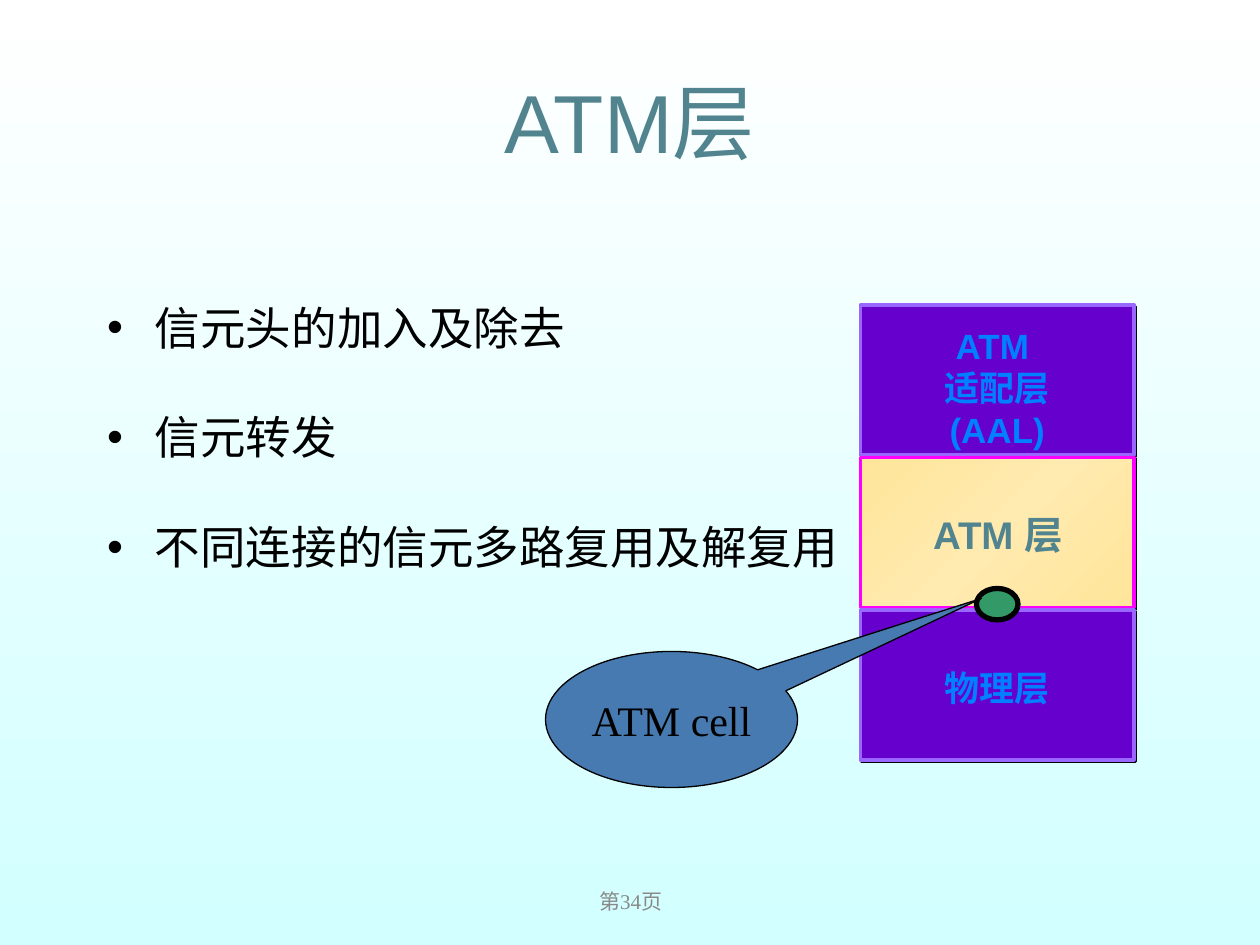
from dataclasses import dataclass

from lxml.etree import SubElement
from pptx import Presentation
from pptx.dml.color import RGBColor
from pptx.enum.shapes import MSO_SHAPE
from pptx.enum.text import MSO_ANCHOR, MSO_AUTO_SIZE, PP_ALIGN
from pptx.oxml.ns import qn
from pptx.util import Inches, Pt


@dataclass(frozen=True)
class Theme:
    sans: str = "Arial"
    serif: str = "Times New Roman"
    black: str = "000000"
    teal: str = "51848E"
    grey: str = "898989"
    violet: str = "6600CC"
    violet_line: str = "9966FF"
    magenta: str = "FF00FF"
    label_blue: str = "0080FF"
    green: str = "339966"
    callout_blue: str = "477AB1"
    background: tuple = ((0, "FFFFFF"), (100, "D2FFFF"))
    highlight: tuple = ((0, "FFE59B"), (50, "FFEAAF"), (100, "FFE59B"))
    title_size: int = 47
    body_size: int = 26
    callout_size: int = 24
    active_size: int = 22
    label_size: int = 20
    footer_size: int = 12


THEME = Theme()
LAYER_LEFT, LAYER_TOP, LAYER_WIDTH, LAYER_HEIGHT = 6.83, 2.42, 2.17, 1.19
LAYER_PITCH = 1.21


def place(sp, left, top, width, height):
    sp.left, sp.top = Inches(left), Inches(top)
    sp.width, sp.height = Inches(width), Inches(height)


def set_gradient(fill, element, stops, angle):
    """Fill with any number of stops; element is the XML that holds the fill."""
    fill.gradient()
    fill.gradient_angle = angle
    gs_list = next(element.iter(qn("a:gsLst")))
    gs_list.clear()
    for percent, color in stops:
        gs = SubElement(gs_list, qn("a:gs"), pos=str(percent * 1000))
        SubElement(gs, qn("a:srgbClr"), val=color)


def write_text(sp, text, font, size, color, bold=False, align=PP_ALIGN.CENTER,
               anchor=MSO_ANCHOR.MIDDLE, wrap=True):
    tf = sp.text_frame
    tf.text = text
    tf.word_wrap = wrap
    tf.auto_size = MSO_AUTO_SIZE.NONE
    tf.vertical_anchor = anchor
    for p in tf.paragraphs:
        p.alignment = align
        for r in p.runs:
            r.font.name = font
            r.font.size = Pt(size)
            r.font.bold = bold
            r.font.color.rgb = RGBColor.from_string(color)
    return tf


def add_shape(shapes, kind, box, fill, line, line_width):
    sp = shapes.add_shape(kind, *map(Inches, box))
    sp.shadow.inherit = False
    if isinstance(fill, str):
        sp.fill.solid()
        sp.fill.fore_color.rgb = RGBColor.from_string(fill)
    else:
        set_gradient(sp.fill, sp._element, fill, 315)
    sp.line.color.rgb = RGBColor.from_string(line)
    sp.line.width = Pt(line_width)
    return sp


def add_hard_shadow(sp):
    effects = sp._element.spPr.find(qn("a:effectLst"))
    shadow = SubElement(effects, qn("a:outerShdw"), dist=str(Pt(1.4)),
                        dir="2700000", algn="ctr", rotWithShape="0")
    SubElement(shadow, qn("a:srgbClr"), val=THEME.black)


def add_bullets(body, items):
    tf = write_text(body, "\n".join(items), THEME.serif, THEME.body_size,
                    THEME.black, align=PP_ALIGN.LEFT, anchor=MSO_ANCHOR.TOP)
    for i, p in enumerate(tf.paragraphs):
        p.space_before = Pt(6.5 if i else 0)
        p.line_spacing = 1.8 if i else 1.0
        pPr = p._p.get_or_add_pPr()
        pPr.set("marL", str(Inches(0.38)))
        pPr.set("indent", str(Inches(-0.38)))
        bullet_color = SubElement(pPr, qn("a:buClr"))
        SubElement(bullet_color, qn("a:srgbClr"), val=THEME.black)
        SubElement(pPr, qn("a:buChar"), char="•")


def add_layer_stack(slide):
    plain = (THEME.violet, THEME.violet_line, THEME.label_blue, THEME.label_size)
    active = (THEME.highlight, THEME.magenta, THEME.teal, THEME.active_size)
    layers = [
        ("ATM \v适配层\n(AAL)", (7.4, 2.53, 1.03, 1.1), plain),
        ("ATM 层", (7.26, 4.01, 1.32, 0.47), active),
        ("物理层", (7.4, 5.24, 1.03, 0.43), plain),
    ]
    shapes = slide.shapes.add_group_shape().shapes
    for i, (_, _, (fill, line, _, _)) in enumerate(layers):
        box = (LAYER_LEFT, LAYER_TOP + i * LAYER_PITCH, LAYER_WIDTH, LAYER_HEIGHT)
        add_hard_shadow(add_shape(shapes, MSO_SHAPE.RECTANGLE, box, fill, line, 2))
    for text, box, (_, _, color, size) in layers:
        label = shapes.add_textbox(*map(Inches, box))
        write_text(label, text, THEME.sans, size, color, bold=True,
                   anchor=MSO_ANCHOR.TOP, wrap=False)


def add_cell_callout(slide):
    add_shape(slide.shapes, MSO_SHAPE.OVAL, (7.75, 4.67, 0.33, 0.25),
              THEME.green, THEME.black, 3)
    callout = add_shape(slide.shapes, MSO_SHAPE.OVAL_CALLOUT, (4.33, 5.17, 2, 1.08),
                        THEME.callout_blue, THEME.black, 0.75)
    callout.adjustments[0] = 1.23
    callout.adjustments[1] = -0.89
    write_text(callout, "ATM cell", THEME.serif, THEME.callout_size,
               THEME.black, wrap=False)


def main():
    prs = Presentation()
    prs.slide_width, prs.slide_height = Inches(10), Inches(7.5)
    slide = prs.slides.add_slide(prs.slide_layouts[1])
    set_gradient(slide.background.fill, slide._element, THEME.background, 270)

    footer = slide.shapes.add_textbox(*map(Inches, (3.42, 6.95, 3.17, 0.4)))
    write_text(footer, "第34页", THEME.serif, THEME.footer_size, THEME.grey)

    title, body = slide.placeholders
    place(title, 0.75, 0.33, 8.5, 1.25)
    write_text(title, "ATM层", THEME.sans, THEME.title_size, THEME.teal)
    place(body, 0.75, 2.33, 8.5, 4.5)
    add_bullets(body, ["信元头的加入及除去", "信元转发", "不同连接的信元多路复用及解复用"])

    add_layer_stack(slide)
    add_cell_callout(slide)
    prs.save("out.pptx")


if __name__ == "__main__":
    main()
